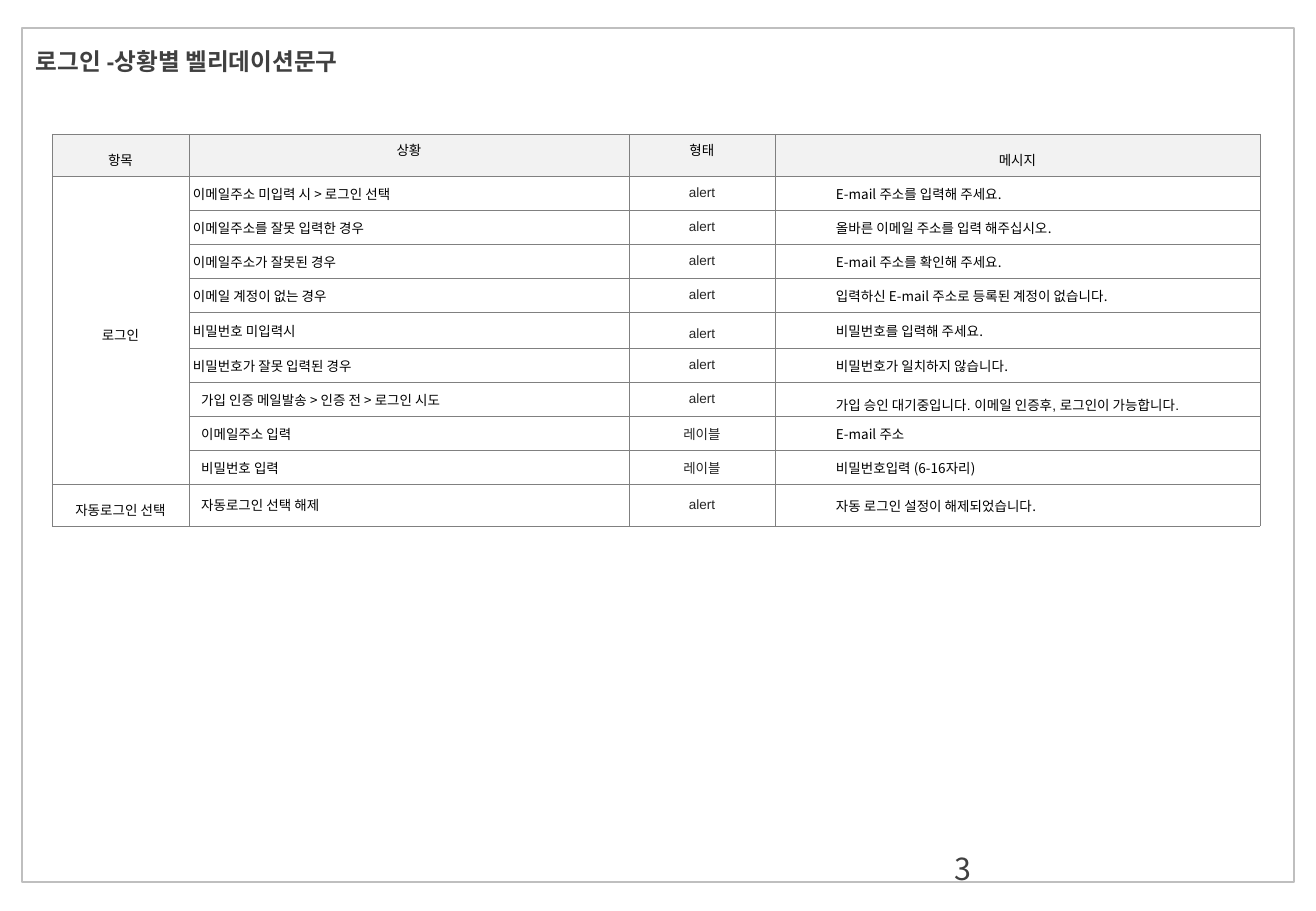
import dataclasses

import pptx
import pptx.dml.color
import pptx.enum.shapes
import pptx.enum.text
import pptx.oxml
import pptx.oxml.ns
import pptx.util

ALIGN = pptx.enum.text.PP_ALIGN
ANCHOR = pptx.enum.text.MSO_ANCHOR


@dataclasses.dataclass(frozen=True)
class Theme:
    latin: str = "Arial"
    korean: str = "Noto Sans CJK KR"
    title_color: str = "404040"
    text_color: str = "000000"
    type_color: str = "262626"
    header_fill: str = "F2F2F2"
    frame_color: str = "BFBFBF"
    grid_color: str = "808080"
    title_size: int = 14
    number_size: int = 18
    cell_size: int = 8


THEME = Theme()
COLUMN_WIDTHS = [137, 440, 146, 485]
ROW_HEIGHTS = [42] + [34] * 9 + [42]
TALL_CELLS = {(0, 0), (0, 3), (1, 0), (5, 2), (7, 3), (10, 0)}
LATIN_CELLS = {(0, 0), (0, 3), (7, 3), (10, 0)}
NARROW_SITUATION_ROWS = range(1, 7)
ROWS = [
    ("항목", "상황", "형태", "메시지"),
    ("로그인", "이메일주소 미입력 시 > 로그인 선택", "alert", "E-mail 주소를 입력해 주세요."),
    ("", "이메일주소를 잘못 입력한 경우", "alert", "올바른 이메일 주소를 입력 해주십시오."),
    ("", "이메일주소가 잘못된 경우", "alert", "E-mail 주소를 확인해 주세요."),
    ("", "이메일 계정이 없는 경우", "alert", "입력하신 E-mail 주소로 등록된 계정이 없습니다."),
    ("", "비밀번호 미입력시", "alert", "비밀번호를 입력해 주세요."),
    ("", "비밀번호가 잘못 입력된 경우", "alert", "비밀번호가 일치하지 않습니다."),
    ("", "가입 인증 메일발송 > 인증 전 > 로그인 시도", "alert",
     "가입 승인 대기중입니다. 이메일 인증후, 로그인이 가능합니다."),
    ("", "이메일주소 입력", "레이블", "E-mail 주소"),
    ("", "비밀번호 입력", "레이블", "비밀번호입력 (6-16자리)"),
    ("자동로그인 선택", "자동로그인 선택 해제", "alert", "자동 로그인 설정이 해제되었습니다."),
]


def px(pixels):
    return pptx.util.Emu(round(pixels * 914400 / 121.5))


def rgb(value):
    return pptx.dml.color.RGBColor.from_string(value)


def apply(target, values):
    for name, value in values.items():
        setattr(target, name, value)


def write(frame, text, font, size, color, bold=False, **para_format):
    para = frame.paragraphs[0]
    apply(para, para_format)
    span = para.add_run()
    span.text = text
    apply(span.font, {"name": font, "size": pptx.util.Pt(size), "bold": bold})
    span.font.color.rgb = rgb(color)


def add_frame(page):
    frame = page.shapes.add_shape(
        pptx.enum.shapes.MSO_SHAPE.RECTANGLE, px(22), px(28), px(1272), px(854))
    frame.shadow.inherit = False
    frame.fill.background()
    frame.line.color.rgb = rgb(THEME.frame_color)
    frame.line.width = pptx.util.Pt(1)


def add_text(page, bounds, text, anchor, **style):
    box = page.shapes.add_textbox(*map(px, bounds))
    apply(box.text_frame, {"word_wrap": True, "vertical_anchor": anchor})
    write(box.text_frame, text, **style)


def add_borders(cell):
    properties = cell._tc.get_or_add_tcPr()
    for index, side in enumerate(("lnL", "lnR", "lnT", "lnB")):
        properties.insert(index, pptx.oxml.parse_xml(
            f'<a:{side} {pptx.oxml.ns.nsdecls("a")} w="{pptx.util.Pt(0.25)}"><a:solidFill>'
            f'<a:srgbClr val="{THEME.grid_color}"/></a:solidFill></a:{side}>'))


def cell_margins(row, column):
    if row and column == 3:
        return {"margin_left": px(61), "margin_right": px(1),
                "margin_top": px(1), "margin_bottom": 0}
    if column == 1 and row in NARROW_SITUATION_ROWS:
        return {"margin_left": px(4), "margin_right": px(1),
                "margin_top": px(1), "margin_bottom": 0}
    return {}


def fill_cell(cell, row, column, text):
    header = row == 0
    if header:
        cell.fill.solid()
        cell.fill.fore_color.rgb = rgb(THEME.header_fill)
    else:
        cell.fill.background()
    add_borders(cell)
    apply(cell, {"vertical_anchor": ANCHOR.TOP if header else ANCHOR.MIDDLE,
                 **cell_margins(row, column)})
    if not text:
        return
    kind = column == 2 and not header
    latin = kind or (row, column) in LATIN_CELLS
    write(cell.text_frame, text,
          font=THEME.latin if latin else THEME.korean,
          size=THEME.cell_size,
          color=THEME.type_color if kind else THEME.text_color,
          alignment=ALIGN.CENTER if header or column in (0, 2) else ALIGN.LEFT,
          line_spacing=1.5 if (row, column) in TALL_CELLS else 1.0)


def add_message_table(page):
    table = page.shapes.add_table(
        len(ROWS), len(COLUMN_WIDTHS), px(52), px(134),
        px(sum(COLUMN_WIDTHS)), px(sum(ROW_HEIGHTS))).table
    apply(table, {"first_row": False, "horz_banding": False})
    for column, width in zip(table.columns, COLUMN_WIDTHS):
        column.width = px(width)
    for row, height in zip(table.rows, ROW_HEIGHTS):
        row.height = px(height)
    table.cell(1, 0).merge(table.cell(9, 0))
    for row, texts in enumerate(ROWS):
        for column, text in enumerate(texts):
            fill_cell(table.cell(row, column), row, column, text)


def main():
    deck = pptx.Presentation()
    apply(deck, {"slide_width": px(1316), "slide_height": px(911.25)})
    page = deck.slides.add_slide(deck.slide_layouts[6])
    add_frame(page)
    add_text(page, (943, 844, 307, 49), "3", ANCHOR.TOP,
             font=THEME.korean, size=THEME.number_size, color=THEME.title_color)
    add_text(page, (24, 29, 550, 64), "로그인 -상황별 벨리데이션문구", ANCHOR.MIDDLE,
             font=THEME.latin, size=THEME.title_size, color=THEME.title_color, bold=True)
    add_message_table(page)
    deck.save("out.pptx")


main()
